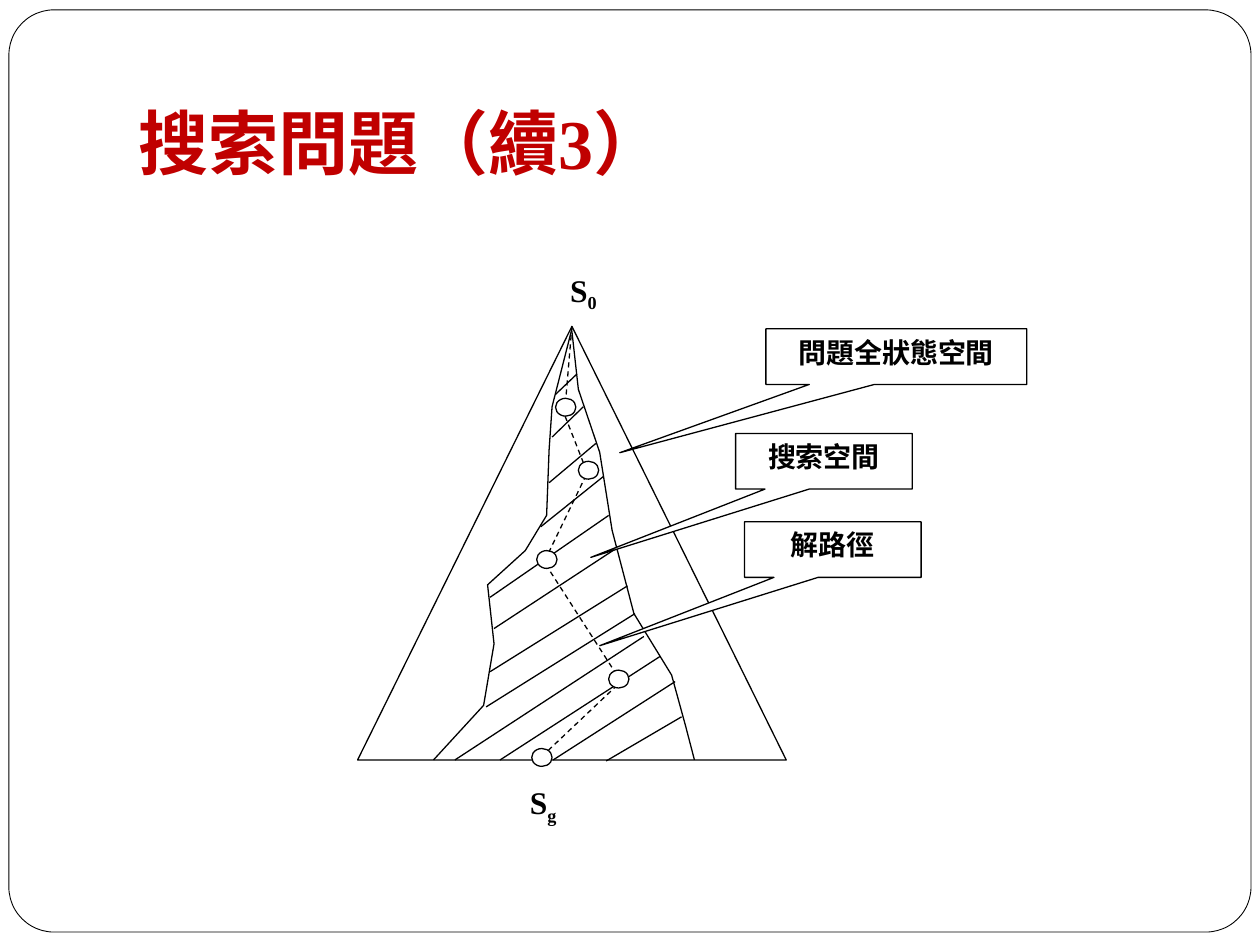
"""Build the slide showing a search space inside the full state space."""
from lxml import etree
from pptx import Presentation
from pptx.dml.color import RGBColor
from pptx.enum.dml import MSO_LINE
from pptx.enum.shapes import MSO_CONNECTOR, MSO_SHAPE as SHP
from pptx.enum.text import MSO_ANCHOR, MSO_AUTO_SIZE, PP_ALIGN
from pptx.oxml.ns import qn
from pptx.util import Cm, Pt

COLORS = {"black": "000000", "white": "FFFFFF", "title": "C00000"}


def style(sp, fill=None, line="black", width=0.75):
    sp.shadow.inherit = False
    if fill:
        sp.fill.solid()
        sp.fill.fore_color.rgb = RGBColor.from_string(COLORS[fill])
    else:
        sp.fill.background()
    if line:
        sp.line.color.rgb = RGBColor.from_string(COLORS[line])
        sp.line.width = Pt(width)
    else:
        sp.line.fill.background()
    return sp


def write(sp, text, sub="", size=16, color="black", align=PP_ALIGN.CENTER, anchor=MSO_ANCHOR.TOP):
    tf = sp.text_frame
    tf.word_wrap = True
    tf.auto_size = MSO_AUTO_SIZE.NONE
    tf.vertical_anchor = anchor
    p = tf.paragraphs[0]
    p.alignment = align
    for part in filter(None, (text, sub)):
        r = p.add_run()
        r.text = part
        r.font.name = "Times New Roman"
        r.font.size = Pt(size)
        r.font.bold = True
        r.font.color.rgb = RGBColor.from_string(COLORS[color])
    if sub:
        r.font._element.set("baseline", "-25000")


prs = Presentation()
prs.slide_width, prs.slide_height = Cm(25.4), Cm(19.05)
s = prs.slides.add_slide(prs.slide_layouts[5])

frame = style(s.shapes.add_shape(SHP.ROUNDED_RECTANGLE, Cm(0.18), Cm(0.2), Cm(25.04), Cm(18.59)),
              fill="white", width=0.5)
frame.adjustments[0] = 0.049
s.shapes._spTree.insert(2, frame._element)

title = s.shapes.title
title.left, title.top, title.width, title.height = Cm(2.54), Cm(0.76), Cm(21.59), Cm(3.18)
write(title, "搜索問題（續3）", size=40, color="title", align=PP_ALIGN.LEFT, anchor=MSO_ANCHOR.BOTTOM)
title.text_frame.margin_bottom = Cm(0.25)

diagram = s.shapes.add_group_shape().shapes
style(diagram.add_shape(SHP.FLOWCHART_EXTRACT, Cm(7.21), Cm(6.58), Cm(8.64), Cm(8.74)))

left_edge = [(11.53, 6.63), (11.13, 8.2), (11.07, 9.07), (11.02, 10.39), (10.59, 11.1),
             (9.83, 11.79), (9.96, 12.98), (9.75, 14.22), (8.74, 15.32)]
right_edge = [(11.53, 6.68), (11.66, 7.85), (12.09, 9.12), (12.34, 10.69),
              (12.78, 12.37), (13.54, 13.61), (13.82, 14.63), (14, 15.32)]
solution = [(11.53, 6.58), (11.38, 8.36), (11.84, 9.53), (10.97, 11.33), (12.52, 13.74), (10.85, 15.32)]
for points, dash in ((left_edge, None), (right_edge, None), (solution, MSO_LINE.DASH)):
    start, *rest = [(Cm(x), Cm(y)) for x, y in points]
    builder = diagram.build_freeform(*start)
    builder.add_line_segments(rest, close=False)
    style(builder.convert_to_shape()).line.dash_style = dash

hatching = [
    (12.22, 15.34, 13.74, 14.45), (11.15, 15.32, 13.61, 13.74), (10.08, 15.32, 13.31, 13.23),
    (9.17, 15.32, 12.98, 12.83), (9.8, 14.25, 12.8, 12.37), (9.88, 13.54, 12.65, 11.81),
    (9.96, 12.67, 12.4, 11.07), (9.88, 12.04, 12.27, 10.39), (10.9, 10.62, 12.17, 9.6),
    (11.07, 9.73, 12.01, 8.94), (11.13, 8.81, 11.76, 8.2), (11.2, 7.95, 11.63, 7.54),
]
for ends in hatching:
    hatch = diagram.add_connector(MSO_CONNECTOR.STRAIGHT, *map(Cm, ends))
    hatch.line.color.rgb = RGBColor.from_string(COLORS["black"])
    hatch.line.width = Pt(0.75)
    etree.SubElement(hatch._element.spPr, qn("a:effectLst"))

for x, y in ((10.72, 15.09), (12.27, 13.51), (10.82, 11.1), (11.66, 9.3), (11.2, 8.03)):
    style(diagram.add_shape(SHP.OVAL, Cm(x), Cm(y), Cm(0.41), Cm(0.36)), fill="white")

for sub, x, y in (("0", 10.64, 5.33), ("g", 9.83, 15.67)):
    state = diagram.add_shape(SHP.RECTANGLE, Cm(x), Cm(y), Cm(2.24), Cm(1.19))
    write(style(state, fill="white", line=None), "S", sub=sub, size=18)

callouts = [("問題全狀態空間", 15.44, 6.63, 5.26, -1.06),
            ("搜索空間", 14.83, 8.74, 3.56, -1.32),
            ("解路徑", 15.01, 10.52, 3.56, -1.32)]
for text, x, y, width, tip in callouts:
    callout = diagram.add_shape(SHP.RECTANGULAR_CALLOUT, Cm(x), Cm(y), Cm(width), Cm(1.12))
    callout.adjustments[0], callout.adjustments[1] = tip, 1.73
    write(style(callout, fill="white"), text)

prs.save("out.pptx")
